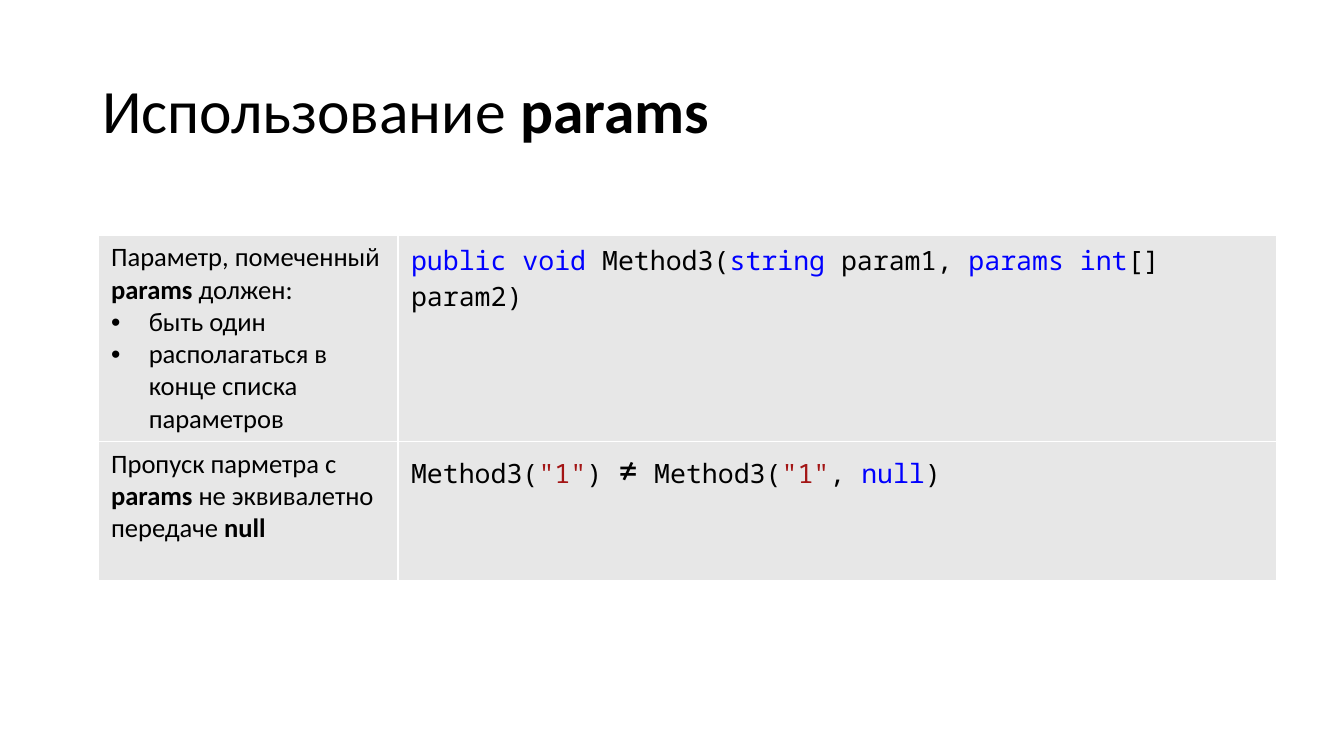
from dataclasses import dataclass
from itertools import product

from lxml.etree import SubElement as Sub
from pptx import Presentation
from pptx.dml.color import RGBColor as RGB
from pptx.enum.text import MSO_ANCHOR as Anchor
from pptx.oxml.ns import qn
from pptx.util import Cm, Pt


@dataclass(frozen=True)
class Theme:
    """Colours, fonts and type sizes of the slide."""
    ink: str = "000000"
    key: str = "0000FF"
    quote: str = "A31515"
    cell: str = "E7E7E7"
    edge: str = "FFFFFF"
    sans: str = "Calibri"
    mono: str = "Noto Sans Mono"
    head: int = 44
    body: int = 19
    sign: int = 24


T = Theme()
BOLD = {"bold": True}
KEY = {"color": T.key}
QUOTE = {"color": T.quote}
SIGN = {"size": T.sign}

TITLE = [("Использование ", {}), ("params", BOLD)]
RULES = [
    [("Параметр, помеченный ", {}), ("params ", BOLD), ("должен:", {})],
    [("быть один", {})],
    [("располагаться в конце списка параметров", {})],
]
HEADER = [[
    ("public void", KEY), (" Method3(", {}), ("string", KEY),
    (" param1, ", {}), ("params int", KEY), ("[] param2)", {}),
]]
SKIP = [[
    ("Пропуск парметра с ", {}), ("params", BOLD),
    (" не эквивалетно передаче ", {}), ("null", BOLD),
]]
CALLS = [[
    ("Method3(", {}), ('"1"', QUOTE), (") ", {}), ("≠", SIGN),
    (" Method3(", {}), ('"1"', QUOTE), (", ", {}), ("null", KEY), (")", {}),
]]
ROWS = [(RULES, HEADER), (SKIP, CALLS)]


def style(font, size=None, color=None, bold=None, name=None):
    """Set the given traits of a font."""
    if size:
        font.size = Pt(size)
    if color:
        font.color.rgb = RGB.from_string(color)
    if bold:
        font.bold = bold
    if name:
        font.name = name


def write(para, runs, size, name):
    """Fill a paragraph with styled runs."""
    style(para.font, size, T.ink, name=name)
    for text, traits in runs:
        run = para.add_run()
        run.text = text
        style(run.font, **traits)


def bullet(para):
    """Give a paragraph a hanging bullet."""
    props = para._p.get_or_add_pPr()
    props.set("marL", str(Cm(0.95)))
    props.set("indent", str(-Cm(0.95)))
    Sub(props, qn("a:buFont"), typeface="Arial")
    Sub(props, qn("a:buChar"), char="•")


def border(cell):
    """Draw thin lines on all four sides of a cell."""
    props = cell._tc.get_or_add_tcPr()
    for side in ("lnL", "lnR", "lnT", "lnB"):
        line = Sub(props, qn(f"a:{side}"), w=str(Pt(1)))
        Sub(Sub(line, qn("a:solidFill")), qn("a:srgbClr"), val=T.edge)


def fill(cell, paras, name):
    """Style a cell and write its paragraphs, bulleted after the first."""
    border(cell)
    cell.fill.solid()
    cell.fill.fore_color.rgb = RGB.from_string(T.cell)
    cell.margin_left = cell.margin_right = Cm(0.33)
    cell.margin_top = cell.margin_bottom = Cm(0.17)
    frame = cell.text_frame
    for i, runs in enumerate(paras):
        para = frame.add_paragraph() if i else frame.paragraphs[0]
        if i:
            bullet(para)
        write(para, runs, T.body, name)


def title(slide):
    """Add the slide heading."""
    box = slide.shapes.add_textbox(Cm(2.33), Cm(1.01), Cm(29.21), Cm(3.68))
    frame = box.text_frame
    frame.word_wrap = True
    frame.vertical_anchor = Anchor.MIDDLE
    para = frame.paragraphs[0]
    para.line_spacing = 0.9
    write(para, TITLE, T.head, T.sans)


def table(slide):
    """Add the table of rules and code."""
    wide, high = (Cm(7.56), Cm(22.13)), (Cm(5.2), Cm(3.5))
    grid = slide.shapes.add_table(
        2, 2, Cm(2.47), Cm(5.92), sum(wide), sum(high)).table
    grid.first_row = grid.horz_banding = False
    for i in range(2):
        grid.columns[i].width = wide[i]
        grid.rows[i].height = high[i]
    for row, col in product(range(2), repeat=2):
        fill(grid.cell(row, col), ROWS[row][col], (T.sans, T.mono)[col])


def main():
    """Build and save the slide."""
    deck = Presentation()
    deck.slide_width, deck.slide_height = Cm(33.87), Cm(19.05)
    slide = deck.slides.add_slide(deck.slide_layouts[6])
    title(slide)
    table(slide)
    deck.save("out.pptx")


if __name__ == "__main__":
    main()
